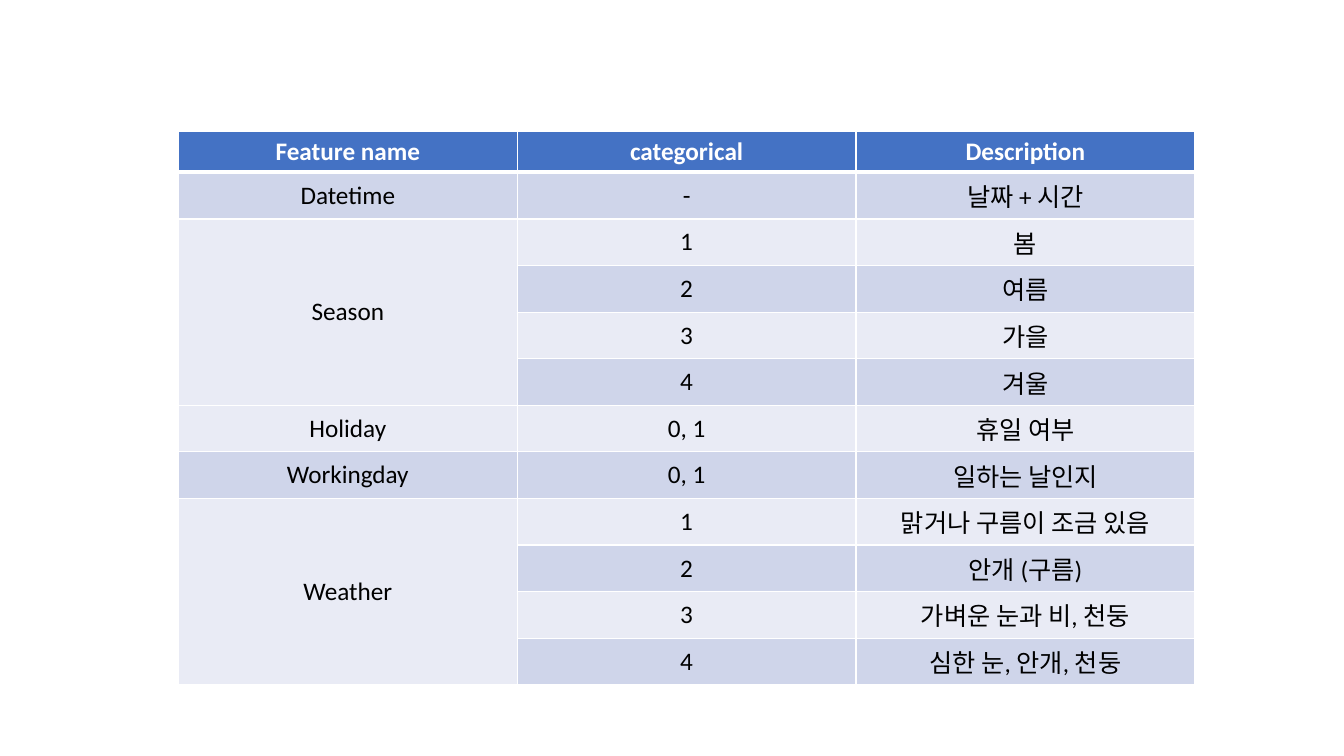
from lxml import etree
from pptx import Presentation
from pptx import util as u
from pptx.dml.color import RGBColor
from pptx.enum import text
from pptx.oxml import ns

WHITE = RGBColor(0xFF, 0xFF, 0xFF)
BLACK = RGBColor(0x00, 0x00, 0x00)
HEADER_BLUE = RGBColor(0x44, 0x72, 0xC4)
BAND_DARK = RGBColor(0xCF, 0xD5, 0xEA)
BAND_LIGHT = RGBColor(0xE9, 0xEB, 0xF5)

HEADINGS = ("Feature name", "categorical", "Description")
FEATURES = [
    ("Datetime", [("-", "날짜 + 시간")]),
    ("Season", [("1", "봄"), ("2", "여름"), ("3", "가을"), ("4", "겨울")]),
    ("Holiday", [("0, 1", "휴일 여부")]),
    ("Workingday", [("0, 1", "일하는 날인지")]),
    ("Weather", [
        ("1", "맑거나 구름이 조금 있음"),
        ("2", "안개 (구름)"),
        ("3", "가벼운 눈과 비, 천둥"),
        ("4", "심한 눈, 안개, 천둥"),
    ]),
]


def write(cell, wording, size=18, font="Calibri", color=BLACK, bold=False):
    cell.vertical_anchor = text.MSO_ANCHOR.MIDDLE
    para = cell.text_frame.paragraphs[0]
    para.alignment = text.PP_ALIGN.CENTER
    span = para.add_run()
    span.text = wording
    span.font.size = u.Pt(size)
    span.font.name = font
    span.font.bold = bold
    span.font.color.rgb = color


def set_borders(cell, **widths):
    properties = cell._tc.get_or_add_tcPr()
    for index, (side, width) in enumerate(widths.items()):
        line = etree.Element(ns.qn(f"a:ln{side}"), w=str(u.Pt(width)))
        fill = etree.SubElement(line, ns.qn("a:solidFill"))
        etree.SubElement(fill, ns.qn("a:srgbClr"), val=str(WHITE))
        properties.insert(index, line)


def paint(cell, color, top=1, bottom=1):
    cell.fill.solid()
    cell.fill.fore_color.rgb = color
    set_borders(cell, L=1, R=1, T=top, B=bottom)


def fill_header(table):
    for cell, heading in zip(table.rows[0].cells, HEADINGS):
        paint(cell, HEADER_BLUE, bottom=3)
        write(cell, heading, color=WHITE, bold=True)


def fill_features(table):
    row = 1
    for name, levels in FEATURES:
        first = table.cell(row, 0)
        if len(levels) > 1:
            first.merge(table.cell(row + len(levels) - 1, 0))
        write(first, name)
        for level in levels:
            band = BAND_DARK if row % 2 else BAND_LIGHT
            for cell in table.rows[row].cells:
                paint(cell, band, top=3 if row == 1 else 1)
            for column, wording in enumerate(level, 1):
                write(table.cell(row, column), wording)
            row += 1


def add_feature_table(page):
    row_count = 1 + sum(len(levels) for name, levels in FEATURES)
    frame = page.shapes.add_table(
        row_count, len(HEADINGS),
        u.Inches(1.77), u.Inches(1.3), u.Inches(10.08), u.Inches(5.47))
    table = frame.table
    for column in table.columns:
        column.width = u.Inches(3.36)
    for row in table.rows:
        row.height = u.Inches(0.46)
    table.rows[0].height = u.Inches(0.41)
    fill_header(table)
    fill_features(table)


def main():
    deck = Presentation()
    deck.slide_width = u.Inches(13.33)
    deck.slide_height = u.Inches(7.5)
    page = deck.slides.add_slide(deck.slide_layouts[6])
    add_feature_table(page)
    deck.save("out.pptx")


if __name__ == "__main__":
    main()
